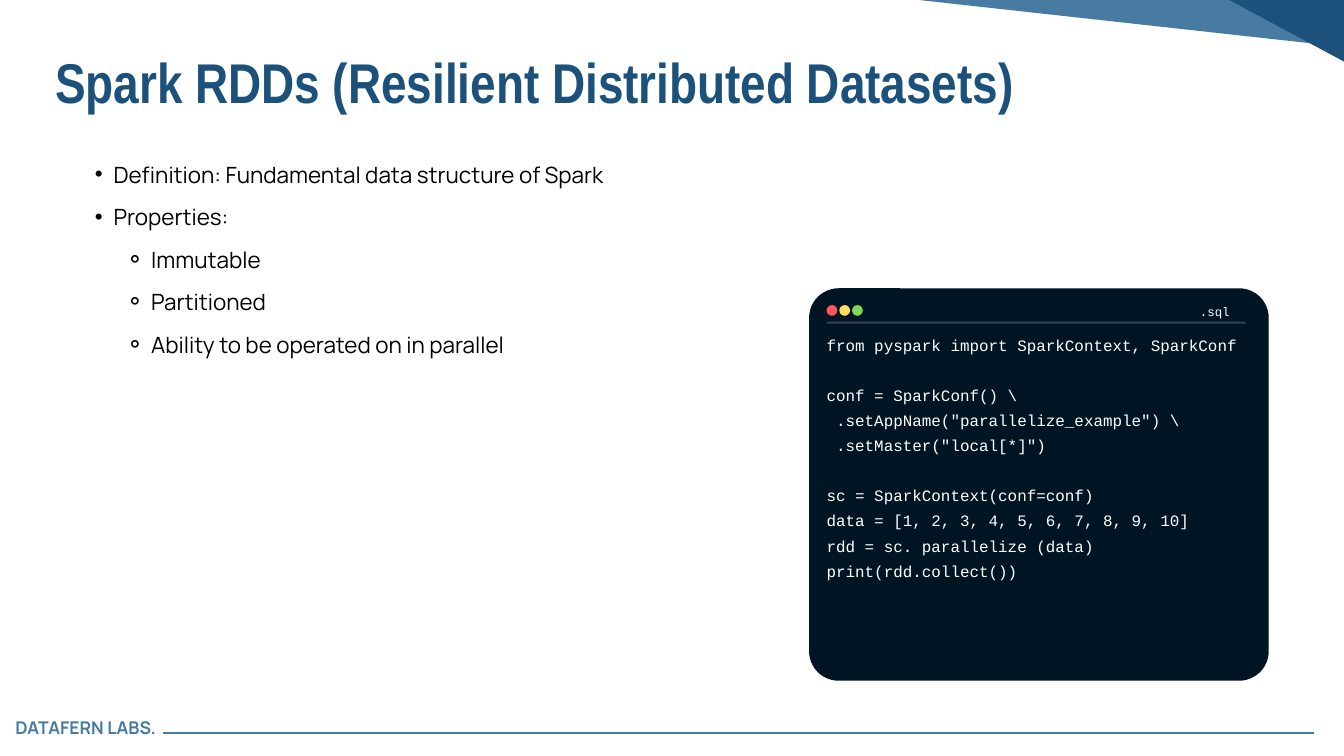
from dataclasses import dataclass

from lxml.etree import SubElement
from pptx import Presentation
from pptx.dml.color import RGBColor
from pptx.enum.shapes import MSO_CONNECTOR as Connector, MSO_SHAPE as Shape
from pptx.enum.text import PP_ALIGN as Align
from pptx.oxml.ns import qn
from pptx.util import Inches, Pt


@dataclass(frozen=True)
class Theme:
    navy: str = "1B517B"
    steel: str = "487BA2"
    black: str = "000000"
    white: str = "FFFFFF"
    editor: str = "001524"
    lights: tuple = ("FF5757", "FFDE59", "7ED957")
    heading: str = "Arial Narrow"
    body: str = "Manrope"
    code: str = "Courier New"
    title_size: float = 60
    body_size: float = 24
    brand_size: float = 18.8
    code_size: float = 17
    tag_size: float = 13.3


THEME = Theme()

# Bullet level: character, left margin, hanging indent
BULLETS = {1: ("•", 0.57, -0.28), 2: ("⚬", 1.13, -0.38)}

POINTS = [
    (1, "Definition: Fundamental data structure of Spark"),
    (1, "Properties:"),
    (2, "Immutable"),
    (2, "Partitioned"),
    (2, "Ability to be operated on in parallel"),
]

# Blocks of code, set apart by one line
CODE = [
    ["from pyspark import SparkContext, SparkConf"],
    ["conf = SparkConf() \\",
     ' .setAppName("parallelize_example") \\',
     ' .setMaster("local[*]")'],
    ["sc = SparkContext(conf=conf)",
     "data = [1, 2, 3, 4, 5, 6, 7, 8, 9, 10]",
     "rdd = sc. parallelize (data)",
     "print(rdd.collect())"],
]


def add_filled(slide, kind, box, color, rotation=0):
    shape = slide.shapes.add_shape(kind, *map(Inches, box))
    shape.shadow.inherit = False
    shape.fill.solid()
    shape.fill.fore_color.rgb = RGBColor.from_string(color)
    shape.line.fill.background()
    shape.rotation = rotation
    return shape


def add_rule(slide, left, right, y, color, width, opacity=None):
    rule = slide.shapes.add_connector(
        Connector.STRAIGHT, Inches(left), Inches(y), Inches(right), Inches(y))
    rule.line.width = Pt(width)
    rule.line.color.rgb = RGBColor.from_string(color)
    properties = rule._element.spPr
    SubElement(properties, qn("a:effectLst"))
    if opacity is not None:
        tint = properties.find(".//" + qn("a:srgbClr"))
        SubElement(tint, qn("a:alpha")).set("val", str(opacity * 1000))


def add_frame(slide, box):
    frame = slide.shapes.add_textbox(*map(Inches, box)).text_frame
    settings = {"word_wrap": True, "margin_left": 0, "margin_right": 0,
                "margin_top": 0, "margin_bottom": 0}
    for name, value in settings.items():
        setattr(frame, name, value)
    return frame


def set_bullet(paragraph, level):
    mark, margin, indent = BULLETS[level]
    paragraph.level = level
    properties = paragraph._p.get_or_add_pPr()
    properties.set("marL", str(Inches(margin)))
    properties.set("indent", str(Inches(indent)))
    SubElement(properties, qn("a:buFont")).set("typeface", "Arial")
    SubElement(properties, qn("a:buChar")).set("char", mark)


def write_line(frame, text, style, color, spacing, first=True, **layout):
    paragraph = frame.paragraphs[0] if first else frame.add_paragraph()
    for name, value in {"line_spacing": Pt(spacing), **layout}.items():
        setattr(paragraph, name, value)
    run = paragraph.add_run()
    run.text = text
    for name, value in style.items():
        setattr(run.font, name, value)
    run.font.color.rgb = RGBColor.from_string(color)
    return paragraph


def add_corner_ribbons(slide):
    add_filled(slide, Shape.RECTANGLE, (16.52, -3.26, 0.59, 6.62), THEME.steel, 96.3)
    add_filled(slide, Shape.RECTANGLE, (18.9, -0.99, 0.89, 2.1), THEME.navy, 298.2)


def add_title(slide):
    style = {"name": THEME.heading, "size": Pt(THEME.title_size), "bold": True}
    write_line(add_frame(slide, (0.82, 0.71, 18.26, 1.02)),
               "Spark RDDs (Resilient Distributed Datasets)", style, THEME.navy, 72)


def add_points(slide):
    frame = add_frame(slide, (1.12, 2.16, 14.91, 3.09))
    style = {"name": THEME.body, "size": Pt(THEME.body_size)}
    for number, (level, text) in enumerate(POINTS):
        point = write_line(frame, text, style, THEME.black, 45.6, number == 0)
        set_bullet(point, level)


def add_code_window(slide):
    left, top, width, height = 12.04, 4.29, 6.84, 5.84
    window = add_filled(slide, Shape.ROUNDED_RECTANGLE,
                        (left, top, width, height), THEME.editor)
    window.adjustments[0] = 0.44 / height

    # Title bar
    inner = left + 0.26
    add_rule(slide, inner, 18.54, 4.8, THEME.white, 2.25, opacity=20)
    for number, color in enumerate(THEME.lights):
        add_filled(slide, Shape.OVAL,
                   (inner + number * 0.19, 4.54, 0.16, 0.16), color)
    tag_style = {"name": THEME.code, "size": Pt(THEME.tag_size)}
    write_line(add_frame(slide, (14.84, 4.46, 3.46, 0.27)), ".sql",
               tag_style, THEME.white, 21.1, alignment=Align.RIGHT)

    # Code
    listing = add_frame(slide, (inner, 4.9, 6.41, 3.98))
    style = {"name": THEME.code, "size": Pt(THEME.code_size)}
    spacing = 26.9
    for block_number, block in enumerate(CODE):
        for line_number, text in enumerate(block):
            first = block_number == line_number == 0
            gap = spacing if line_number == 0 and not first else 0
            write_line(listing, text, style, THEME.white, spacing, first,
                       space_before=Pt(gap))


def add_footer(slide):
    style = {"name": THEME.body, "size": Pt(THEME.brand_size), "bold": True}
    write_line(add_frame(slide, (0.23, 10.67, 2.2, 0.33)),
               "DATAFERN LABS.", style, THEME.steel, 22.6)
    add_rule(slide, 2.43, 19.56, 10.91, THEME.steel, 1.5)


def main():
    deck = Presentation()
    deck.slide_width, deck.slide_height = Inches(20), Inches(11.25)
    slide = deck.slides.add_slide(deck.slide_layouts[6])
    add_title(slide)
    add_points(slide)
    add_corner_ribbons(slide)
    add_code_window(slide)
    add_footer(slide)
    deck.save("out.pptx")


if __name__ == "__main__":
    main()
